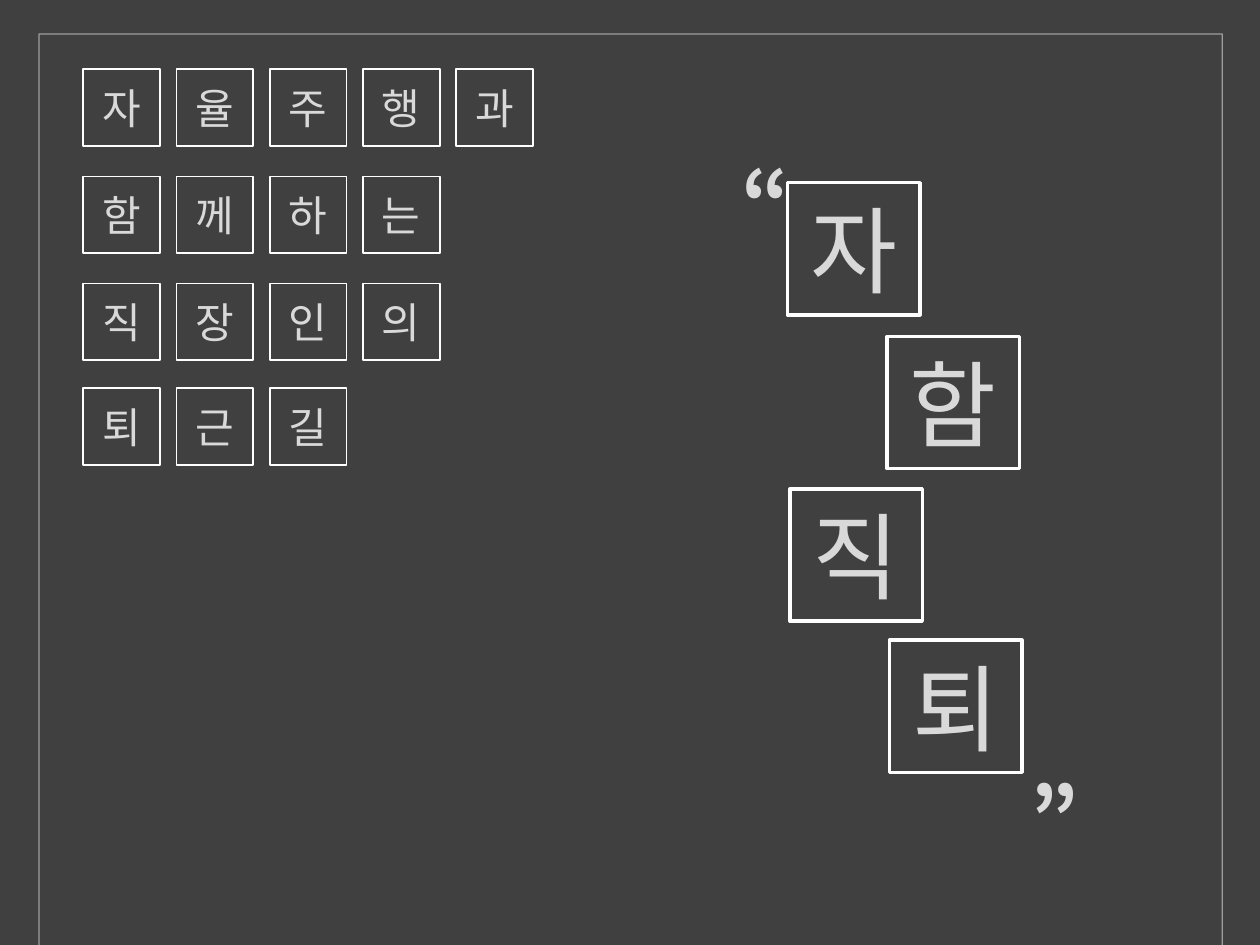
"""Build a slide spelling a phrase in letter tiles beside its quoted acronym."""
from lxml.etree import SubElement
from pptx import Presentation
from pptx.dml.color import RGBColor
from pptx.enum.shapes import MSO_SHAPE
from pptx.enum.text import MSO_ANCHOR, PP_ALIGN
from pptx.oxml.ns import qn
from pptx.util import Inches, Pt

PHRASE = [("자율주행과", 0.55), ("함께하는", 1.4), ("직장인의", 2.25), ("퇴근길", 3.08)]
ACRONYM = [("자", 6.25, 1.45), ("함", 7.04, 2.67), ("직", 6.27, 3.88), ("퇴", 7.06, 5.08)]
QUOTES = [("“", 5.79, 1.14), ("”", 8.08, 6.03)]

FONT = "Noto Sans CJK KR"
DARK = RGBColor(0x40, 0x40, 0x40)
WHITE = RGBColor(0xFF, 0xFF, 0xFF)
LIGHT = RGBColor(0xD9, 0xD9, 0xD9)
LEFT, PITCH, SMALL, LARGE = 0.66, 0.74, 0.61, 1.05


def write(tf, text, size, align, bold=False):
    p = tf.paragraphs[0]
    p.text = text
    p.alignment = align
    font = p.font
    font.name, font.size, font.bold = FONT, Pt(size), bold
    font.color.rgb = LIGHT
    SubElement(font._element, qn("a:ea"), typeface=FONT)


def add_outline(s, x, y, w, h, weight):
    sp = s.shapes.add_shape(MSO_SHAPE.RECTANGLE, Inches(x), Inches(y), Inches(w), Inches(h))
    sp.shadow.inherit = False
    sp.fill.background()
    sp.line.color.rgb = WHITE
    sp.line.width = Pt(weight)
    return sp


def add_tile(s, text, x, y, side, weight, size):
    tf = add_outline(s, x, y, side, side, weight).text_frame
    tf.vertical_anchor = MSO_ANCHOR.MIDDLE
    write(tf, text, size, PP_ALIGN.CENTER)


def add_quote(s, text, x, y):
    tf = s.shapes.add_textbox(Inches(x), Inches(y), Inches(0.61), Inches(0.91)).text_frame
    tf.word_wrap = True
    write(tf, text, 48, PP_ALIGN.LEFT, bold=True)


def main():
    prs = Presentation()
    prs.slide_width, prs.slide_height = Inches(10), Inches(7.5)
    s = prs.slides.add_slide(prs.slide_layouts[6])
    s.background.fill.solid()
    s.background.fill.fore_color.rgb = DARK

    for word, y in PHRASE:
        for i, letter in enumerate(word):
            add_tile(s, letter, LEFT + i * PITCH, y, SMALL, 1, 24)
    for letter, x, y in ACRONYM:
        add_tile(s, letter, x, y, LARGE, 2, 54)

    frame = add_outline(s, 0.31, 0.27, 9.39, 7.65, 0.75)
    color = frame.line._ln.find(".//" + qn("a:srgbClr"))
    SubElement(color, qn("a:alpha"), val="50000")

    for mark, x, y in QUOTES:
        add_quote(s, mark, x, y)
    prs.save("out.pptx")


if __name__ == "__main__":
    main()
